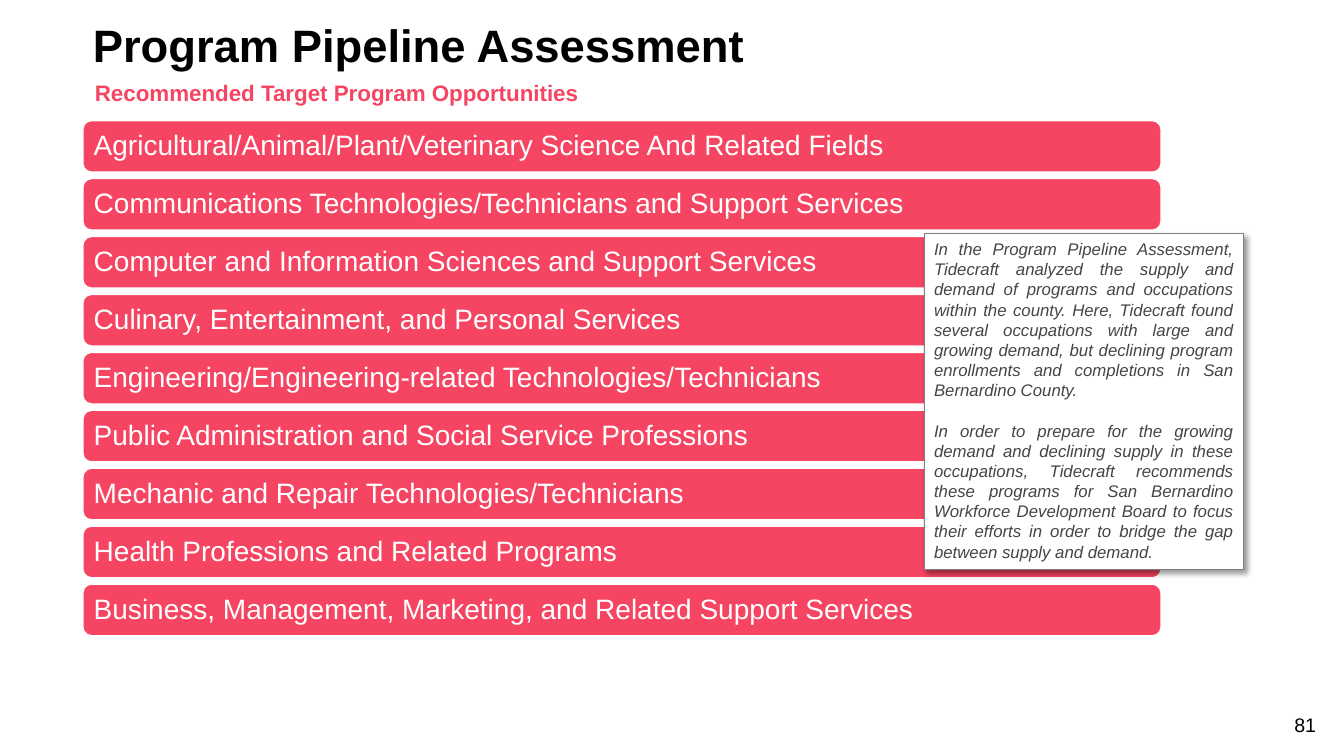
import dataclasses
import typing

import lxml.etree
import pptx
import pptx.dml.color
import pptx.enum.shapes
import pptx.enum.text
import pptx.oxml.ns
import pptx.util

Cm = pptx.util.Cm
Pt = pptx.util.Pt
Shape = pptx.enum.shapes.MSO_SHAPE
Align = pptx.enum.text.PP_ALIGN
Anchor = pptx.enum.text.MSO_ANCHOR
qn = pptx.oxml.ns.qn

ROSE, WHITE, BLACK, GREY, EDGE = "F54562", "FFFFFF", "000000", "454545", "7F7F7F"
STEP = 1.46  # distance from one bar to the next


@dataclasses.dataclass
class Box:
    left: float
    top: float
    width: float
    height: float

    def size(self) -> list:
        return [Cm(n) for n in (self.left, self.top, self.width, self.height)]


FIRST = Box(2.09, 3.04, 27.17, 1.3)

FIELDS = [
    "Agricultural/Animal/Plant/Veterinary Science And Related Fields",
    "Communications Technologies/Technicians and Support Services",
    "Computer and Information Sciences and Support Services",
    "Culinary, Entertainment, and Personal Services",
    "Engineering/Engineering-related Technologies/Technicians",
    "Public Administration and Social Service Professions",
    "Mechanic and Repair Technologies/Technicians",
    "Health Professions and Related Programs",
    "Business, Management, Marketing, and Related Support Services",
]

NOTE = [
    "In the Program Pipeline Assessment, Tidecraft analyzed the supply and demand of "
    "programs and occupations within the county. Here, Tidecraft found several "
    "occupations with large and growing demand, but declining program enrollments and "
    "completions in San Bernardino County.",
    "In order to prepare for the growing demand and declining supply in these "
    "occupations, Tidecraft recommends these programs for San Bernardino Workforce "
    "Development Board to focus their efforts in order to bridge the gap between "
    "supply and demand.",
]


def tint(hue: str) -> pptx.dml.color.RGBColor:
    return pptx.dml.color.RGBColor.from_string(hue)


def write(shape: typing.Any, *texts: str, size: float, hue: str, bold: bool = False,
          slant: bool = False, align: Align = Align.LEFT, anchor: Anchor = Anchor.MIDDLE,
          lead: float = 1.0, gap: float = 0, side: float = 0.25) -> None:
    frame = shape.text_frame
    frame.word_wrap = True
    frame.auto_size = pptx.enum.text.MSO_AUTO_SIZE.NONE
    frame.vertical_anchor = anchor
    frame.margin_left = frame.margin_right = Cm(side)
    frame.margin_top = frame.margin_bottom = Cm(0.13)
    for i, text in enumerate(texts):
        para = frame.add_paragraph() if i else frame.paragraphs[0]
        props = para._p.get_or_add_pPr()
        props.set("marL", "0")
        props.set("indent", "0")
        lxml.etree.SubElement(props, qn("a:buNone"))
        para.alignment = align
        para.line_spacing = lead
        para.space_before = Pt(gap if i else 0)
        run = para.add_run()
        run.text = text
        font = run.font
        font.name, font.size = "Arial", Pt(size)
        font.bold, font.italic = bold, slant
        font.color.rgb = tint(hue)


def block(slide: typing.Any, kind: Shape, box: Box, fill: str, line: str,
          width: float) -> typing.Any:
    shape = slide.shapes.add_shape(kind, *box.size())
    shape.shadow.inherit = False
    shape.fill.solid()
    shape.fill.fore_color.rgb = tint(fill)
    shape.line.color.rgb = tint(line)
    shape.line.width = Pt(width)
    return shape


def place(shape: typing.Any, box: Box) -> typing.Any:
    shape.left, shape.top, shape.width, shape.height = box.size()
    return shape


def shade(shape: typing.Any) -> None:
    effects = shape._element.spPr.find(qn("a:effectLst"))
    outer = lxml.etree.SubElement(
        effects, qn("a:outerShdw"), blurRad=str(Pt(4)), dist=str(Pt(3)),
        dir=str(45 * 60000), algn="tl", rotWithShape="0")
    black = lxml.etree.SubElement(outer, qn("a:srgbClr"), val=BLACK)
    lxml.etree.SubElement(black, qn("a:alpha"), val="40000")


def main() -> None:
    deck = pptx.Presentation()
    deck.slide_width, deck.slide_height = Cm(33.87), Cm(19.05)
    slide = deck.slides.add_slide(deck.slide_layouts[1])

    # Headings
    title = place(slide.shapes.title, Box(2.09, 0.69, 19.13, 1.02))
    write(title, "Program Pipeline Assessment", size=32.4, hue=BLACK, bold=True, lead=0.9)
    body = place(slide.placeholders[1], Box(2.14, 1.99, 13.39, 0.76))
    write(body, "Recommended Target Program Opportunities", size=16, hue=ROSE,
          bold=True, lead=0.9)

    # Program bars
    for i, field in enumerate(FIELDS):
        spot = dataclasses.replace(FIRST, top=FIRST.top + i * STEP)
        bar = block(slide, Shape.ROUNDED_RECTANGLE, spot, ROSE, WHITE, 1)
        write(bar, field, size=20, hue=WHITE, lead=0.9, side=0.21)

    # Comment over the bars
    note = block(slide, Shape.RECTANGLE, Box(23.29, 5.89, 8.05, 8.46), WHITE, EDGE, 0.75)
    shade(note)
    write(note, *NOTE, size=12, hue=GREY, slant=True, align=Align.JUSTIFY,
          anchor=Anchor.TOP, gap=14.4)

    # Page number
    page = slide.shapes.add_textbox(*Box(31.39, 17.82, 2.03, 0.86).size())
    write(page, "81", size=14, hue=BLACK, align=Align.RIGHT, anchor=Anchor.BOTTOM)

    deck.save("out.pptx")


if __name__ == "__main__":
    main()
